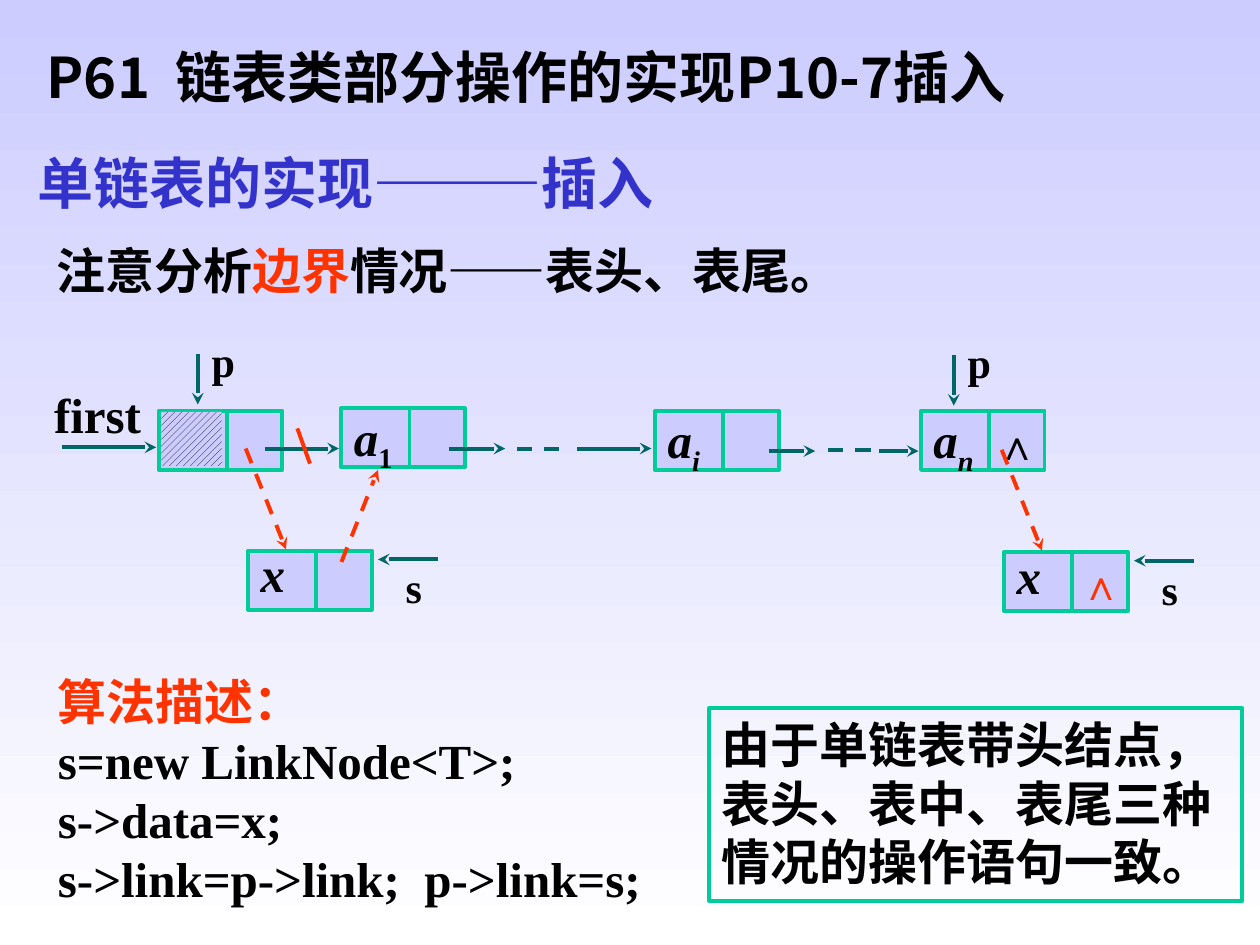
from dataclasses import dataclass

from lxml import etree
from pptx import Presentation
from pptx import util as u
from pptx.dml.color import RGBColor
from pptx.enum import dml, shapes, text
from pptx.oxml.ns import qn

In = u.Inches


@dataclass(frozen=True)
class Theme:
    ink: str = "000000"
    blue: str = "3333CC"
    red: str = "FF3300"
    arrow: str = "006666"
    border: str = "00CC99"
    lilac: str = "CCCCFF"
    white: str = "FFFFFF"
    serif: str = "Times New Roman"
    sans: str = "Arial"
    cjk: str = "Noto Sans CJK SC"
    heading: int = 32
    body: int = 28
    label: int = 24
    line: float = 2.25


T = Theme()
NODE_W, NODE_H, DIVIDER = 0.98, 0.47, 0.54


def rgb(value):
    return RGBColor.from_string(value)


def place(s, left, top, width, height):
    s.left, s.top, s.width, s.height = (In(v) for v in (left, top, width, height))


def add_run(p, words, size, color=T.ink, font=T.serif, italic=False, sub=False):
    """Add a bold run, with the CJK font for its East Asian letters."""
    r = p.add_run()
    r.text = words
    f = r.font
    f.size, f.bold, f.italic, f.name = u.Pt(size), True, italic, font
    f.color.rgb = rgb(color)
    rPr = r._r.get_or_add_rPr()
    etree.SubElement(rPr, qn("a:ea")).set("typeface", T.cjk)
    if sub:
        rPr.set("baseline", "-25000")


def set_frame(tf, insets=(0.1, 0.05, 0.1, 0.05), anchor=text.MSO_ANCHOR.TOP):
    tf.word_wrap = True
    tf.auto_size = text.MSO_AUTO_SIZE.NONE
    tf.vertical_anchor = anchor
    tf.margin_left, tf.margin_top, tf.margin_right, tf.margin_bottom = map(In, insets)


def add_text(sl, box, runs, align=text.PP_ALIGN.LEFT, spacing=1.0, **frame):
    """Add a one-paragraph text box; each run is a dict for add_run."""
    s = sl.shapes.add_textbox(*map(In, box))
    set_frame(s.text_frame, **frame)
    p = s.text_frame.paragraphs[0]
    p.alignment, p.line_spacing = align, spacing
    for run in runs:
        add_run(p, **run)


def add_label(sl, x, y, words):
    add_text(sl, (x, y, 0.27, 0.4), [dict(words=words, size=T.label)], insets=(0, 0, 0, 0))


def add_null(sl, x, y, color):
    add_text(sl, (x, y, 0.49, 0.5), [dict(words="∧", size=T.label, color=color)],
             align=text.PP_ALIGN.CENTER)


def add_line(sl, x1, y1, x2, y2, color=T.arrow, dash=False, head=True):
    s = sl.shapes.add_connector(shapes.MSO_CONNECTOR.STRAIGHT, In(x1), In(y1), In(x2), In(y2))
    s.line.color.rgb, s.line.width = rgb(color), u.Pt(T.line)
    if dash:
        s.line.dash_style = dml.MSO_LINE.DASH
    if head:
        etree.SubElement(s.line._get_or_add_ln(), qn("a:tailEnd")).set("type", "stealth")
    etree.SubElement(s._element.spPr, qn("a:effectLst"))


def add_box(sl, x, y, w, h):
    s = sl.shapes.add_shape(shapes.MSO_SHAPE.RECTANGLE, In(x), In(y), In(w), In(h))
    s.shadow.inherit = False
    s.line.color.rgb, s.line.width = rgb(T.border), u.Pt(T.line)
    return s


def add_node(sl, x, y, name="", index="", upright=False):
    """Add a list node: a data cell with its name, and a link cell."""
    s = add_box(sl, x, y, NODE_W, NODE_H)
    s.fill.solid()
    s.fill.fore_color.rgb = rgb(T.lilac)
    if name:
        set_frame(s.text_frame, (0.1, 0, 0, 0.08))
        p = s.text_frame.paragraphs[0]
        p.alignment, p.line_spacing = text.PP_ALIGN.LEFT, 0.9
        add_run(p, name, T.body, italic=True)
        if index:
            add_run(p, index, T.body, italic=not upright, sub=True)
    add_line(sl, x + DIVIDER, y, x + DIVIDER, y + NODE_H, T.border, head=False)


def add_head_fill(sl, x, y):
    """Hatch the unused data cell of the head node."""
    s = sl.shapes.add_shape(shapes.MSO_SHAPE.RECTANGLE, In(x), In(y), In(0.48), In(0.43))
    s.shadow.inherit = False
    s.fill.patterned()
    s.fill.pattern = dml.MSO_PATTERN.WIDE_UPWARD_DIAGONAL
    s.fill.fore_color.rgb, s.fill.back_color.rgb = rgb(T.ink), rgb(T.lilac)
    s.line.fill.background()


def add_list(sl, x, y):
    """Draw the chain from first to the last node; x, y is the head node."""
    add_node(sl, x, y)
    add_head_fill(sl, x + 0.02, y + 0.01)
    add_node(sl, x + 1.45, y - 0.02, "a", "1", upright=True)
    add_node(sl, x + 3.94, y, "a", "i")
    add_node(sl, x + 6.05, y, "a", "n")
    add_null(sl, x + 6.55, y + 0.01, T.ink)
    add_text(sl, (x - 0.83, y - 0.21, 0.83, 0.51), [dict(words="first", size=T.body)],
             insets=(0, 0, 0, 0.04))
    arrows = [(-0.77, -0.02, 0.29), (0.84, 1.43, 0.3), (2.3, 2.75, 0.3),
              (3.32, 3.91, 0.3), (4.84, 5.21, 0.32), (5.72, 6.03, 0.32)]
    for start, end, dy in arrows:
        add_line(sl, x + start, y + dy, x + end, y + dy)
    for start, end, dy in [(2.84, 3.18, 0.3), (5.31, 5.66, 0.31)]:
        add_line(sl, x + start, y + dy, x + end, y + dy, dash=True, head=False)


def add_insertion(sl, x, y):
    """Draw pointer p, new node x with pointer s, and the new link from p to s."""
    add_line(sl, x, y, x, y + 0.4)
    add_label(sl, x + 0.11, y - 0.15, "p")
    add_node(sl, x + 0.4, y + 1.56, "x")
    add_line(sl, x + 1.91, y + 1.63, x + 1.43, y + 1.63)
    add_label(sl, x + 1.65, y + 1.65, "s")
    add_line(sl, x + 0.38, y + 0.75, x + 0.7, y + 1.55, T.red, dash=True)


def add_headings(sl):
    title = sl.shapes.title
    place(title, 0.27, 0.36, 9.45, 0.55)
    set_frame(title.text_frame, anchor=text.MSO_ANCHOR.MIDDLE)
    p = title.text_frame.paragraphs[0]
    p.alignment, p.line_spacing = text.PP_ALIGN.LEFT, 0.9
    add_run(p, "P61  链表类部分操作的实现P10-7插入", T.heading, font=T.cjk)
    add_text(sl, (0.2, 1.2, 6.18, 0.55),
             [dict(words="单链表的实现———插入", size=T.heading, color=T.blue, font=T.sans)],
             spacing=0.9, anchor=text.MSO_ANCHOR.MIDDLE)
    add_text(sl, (0.35, 1.86, 8.83, 0.57),
             [dict(words="注意分析", size=T.body),
              dict(words="边界", size=T.body, color=T.red),
              dict(words="情况——表头、表尾。", size=T.body)])


def add_algorithm(sl, box):
    body = sl.placeholders[1]
    place(body, *box)
    tf = body.text_frame
    set_frame(tf)
    lines = ["算法描述：", "s=new LinkNode<T>;", "s->data=x;", "s->link=p->link;  p->link=s;"]
    for i, words in enumerate(lines):
        p = tf.paragraphs[0] if i == 0 else tf.add_paragraph()
        p.alignment, p.space_before = text.PP_ALIGN.JUSTIFY, u.Pt(0)
        pPr = p._p.get_or_add_pPr()
        pPr.set("marL", "0")
        pPr.set("indent", "0")
        etree.SubElement(pPr, qn("a:buNone"))
        add_run(p, words, T.body, T.ink if i else T.red)


def add_conclusion(sl, box):
    s = add_box(sl, *box)
    s.fill.background()
    set_frame(s.text_frame)
    p = s.text_frame.paragraphs[0]
    p.alignment = text.PP_ALIGN.LEFT
    add_run(p, "由于单链表带头结点，表头、表中、表尾三种情况的操作语句一致。", T.body, font=T.cjk)


def set_background(sl):
    fill = sl.background.fill
    fill.gradient()
    fill.gradient_angle = 270
    for stop, position, color in zip(fill.gradient_stops, (0, 1), (T.lilac, T.white)):
        stop.position, stop.color.rgb = position, rgb(color)


def main():
    prs = Presentation()
    prs.slide_width, prs.slide_height = In(10), In(7.5)
    sl = prs.slides.add_slide(prs.slide_layouts[1])
    set_background(sl)
    add_headings(sl)
    add_list(sl, 1.26, 3.26)
    add_insertion(sl, 1.57, 2.81)
    add_line(sl, 2.71, 4.46, 3, 3.73, T.red, dash=True)
    add_line(sl, 2.36, 3.4, 2.46, 3.68, T.red, head=False)
    add_insertion(sl, 7.57, 2.82)
    add_null(sl, 8.48, 4.38, T.red)
    add_algorithm(sl, (0.36, 5.28, 5.57, 1.97))
    add_conclusion(sl, (5.63, 5.62, 4.23, 1.53))
    prs.save("out.pptx")


if __name__ == "__main__":
    main()
